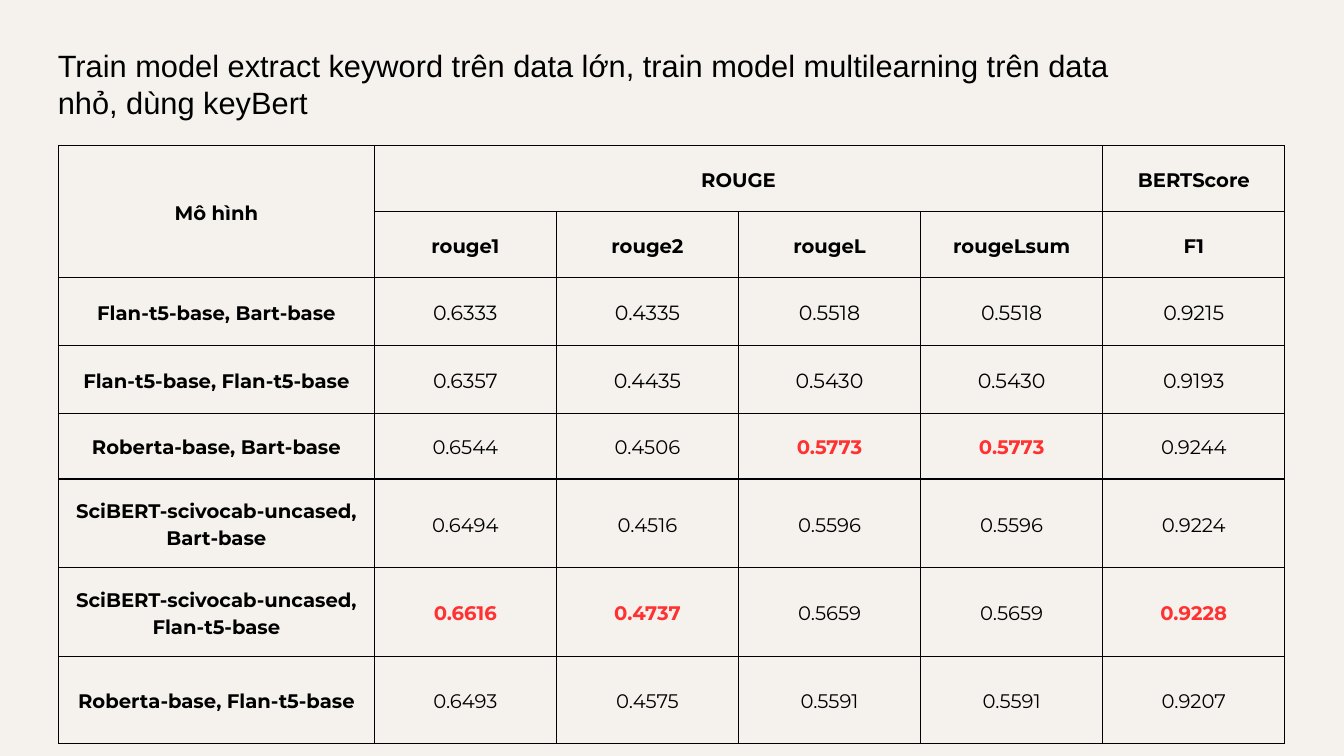
"""Build a slide that compares keyword models by ROUGE and BERTScore."""
from lxml import etree
from pptx import Presentation
from pptx.dml.color import RGBColor
from pptx.enum.text import MSO_ANCHOR, PP_ALIGN
from pptx.oxml.ns import qn
from pptx.util import Inches, Pt

LEFT, CENTER = PP_ALIGN.LEFT, PP_ALIGN.CENTER
MIDDLE = MSO_ANCHOR.MIDDLE
CREAM = RGBColor(0xF5, 0xF2, 0xEE)
BLACK = RGBColor(0, 0, 0)
RED = RGBColor(0xFF, 0x31, 0x31)

TITLE = ("Train model extract keyword trên data lớn, train model "
         "multilearning trên data nhỏ, dùng keyBert")
WIDTHS = [4.7] + [2.71] * 5
HEIGHTS = [0.98, 0.98, 1.01, 1.01, 0.98, 1.32, 1.32, 1.29]
ROWS = [
    ["Mô hình", "ROUGE", "", "", "", "BERTScore"],
    ["", "rouge1", "rouge2", "rougeL", "rougeLsum", "F1"],
    ["Flan-t5-base, Bart-base", "0.6333", "0.4335", "0.5518", "0.5518", "0.9215"],
    ["Flan-t5-base, Flan-t5-base", "0.6357", "0.4435", "0.5430", "0.5430", "0.9193"],
    ["Roberta-base, Bart-base", "0.6544", "0.4506", "0.5773", "0.5773", "0.9244"],
    ["SciBERT-scivocab-uncased, Bart-base",
     "0.6494", "0.4516", "0.5596", "0.5596", "0.9224"],
    ["SciBERT-scivocab-uncased, Flan-t5-base",
     "0.6616", "0.4737", "0.5659", "0.5659", "0.9228"],
    ["Roberta-base, Flan-t5-base", "0.6493", "0.4575", "0.5591", "0.5591", "0.9207"],
]
BEST = {(4, 3), (4, 4), (6, 1), (6, 2), (6, 5)}
HEADS = 2
LARGE = (2, 3)


def write(frame, text, font="Montserrat", size=21, lead=1.4, color=BLACK,
          bold=False, align=CENTER):
    """Put one formatted paragraph in a text frame."""
    frame.word_wrap = True
    para = frame.paragraphs[0]
    para.alignment = align
    para.line_spacing = Pt(size * lead)
    run = para.add_run()
    run.text = text
    run.font.name = font
    run.font.size = Pt(size)
    run.font.bold = bold
    run.font.color.rgb = color


def add_title(slide):
    """Add the heading above the table."""
    box = slide.shapes.add_textbox(
        Inches(0.86), Inches(0.69), Inches(16.61), Inches(1.16))
    frame = box.text_frame
    frame.margin_left = frame.margin_right = 0
    frame.margin_top = frame.margin_bottom = 0
    write(frame, TITLE, font="Arial", size=33, lead=1.2, align=LEFT)


def add_border(cell):
    """Draw a thin black line on all four sides of a cell."""
    props = cell._tc.get_or_add_tcPr()
    for i, side in enumerate(("a:lnL", "a:lnR", "a:lnT", "a:lnB")):
        line = etree.Element(qn(side), w=str(Pt(1.5)))
        fill = etree.SubElement(line, qn("a:solidFill"))
        etree.SubElement(fill, qn("a:srgbClr"), val=str(BLACK))
        props.insert(i, line)


def fill_cell(cell, row, col, text):
    """Format one cell and write its text."""
    if (row == HEADS and col) or (row > 4 and not col):
        cell.fill.solid()
        cell.fill.fore_color.rgb = CREAM
    else:
        cell.fill.background()
    add_border(cell)
    cell.vertical_anchor = MIDDLE
    cell.margin_left = cell.margin_right = Inches(0.21)
    cell.margin_top = cell.margin_bottom = Inches(0.21)
    if text:
        best = (row, col) in BEST
        write(cell.text_frame, text,
              size=22 if row in LARGE and col else 21,
              color=RED if best else BLACK,
              bold=best or row < HEADS or col == 0)


def add_scores(slide):
    """Add the table of scores with its merged heads."""
    table = slide.shapes.add_table(
        len(ROWS), len(WIDTHS), Inches(0.87), Inches(2.17),
        Inches(sum(WIDTHS)), Inches(sum(HEIGHTS))).table
    table.first_row = table.horz_banding = False
    for col, width in zip(table.columns, WIDTHS):
        col.width = Inches(width)
    for row, height in zip(table.rows, HEIGHTS):
        row.height = Inches(height)
    table.cell(0, 0).merge(table.cell(1, 0))
    table.cell(0, 1).merge(table.cell(0, 4))
    for r, texts in enumerate(ROWS):
        for c, text in enumerate(texts):
            fill_cell(table.cell(r, c), r, c, text)


def main():
    """Build and save the slide."""
    deck = Presentation()
    deck.slide_width, deck.slide_height = Inches(20), Inches(11.25)
    slide = deck.slides.add_slide(deck.slide_layouts[6])
    back = slide.background.fill
    back.solid()
    back.fore_color.rgb = CREAM
    add_scores(slide)
    add_title(slide)
    deck.save("out.pptx")


if __name__ == "__main__":
    main()
